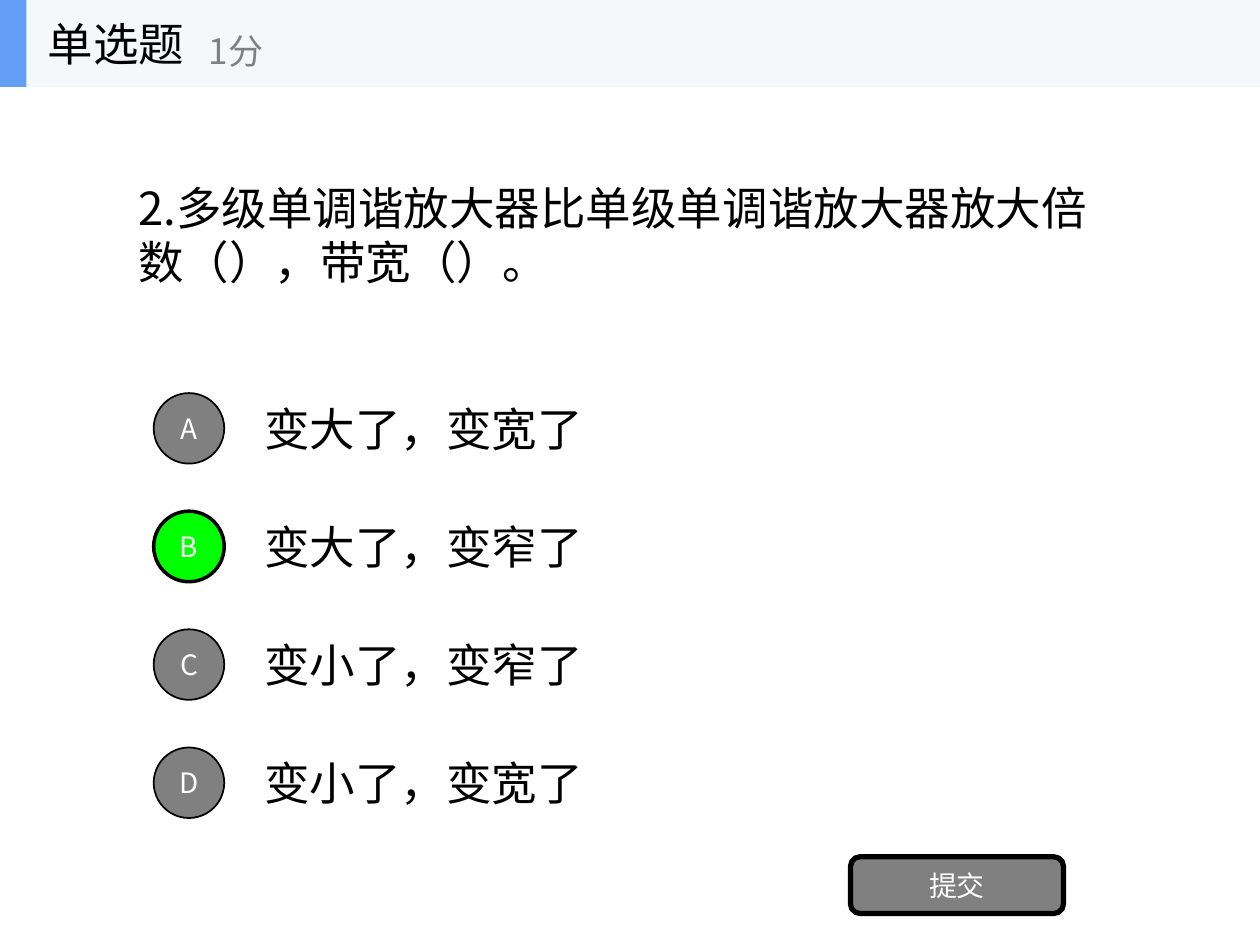
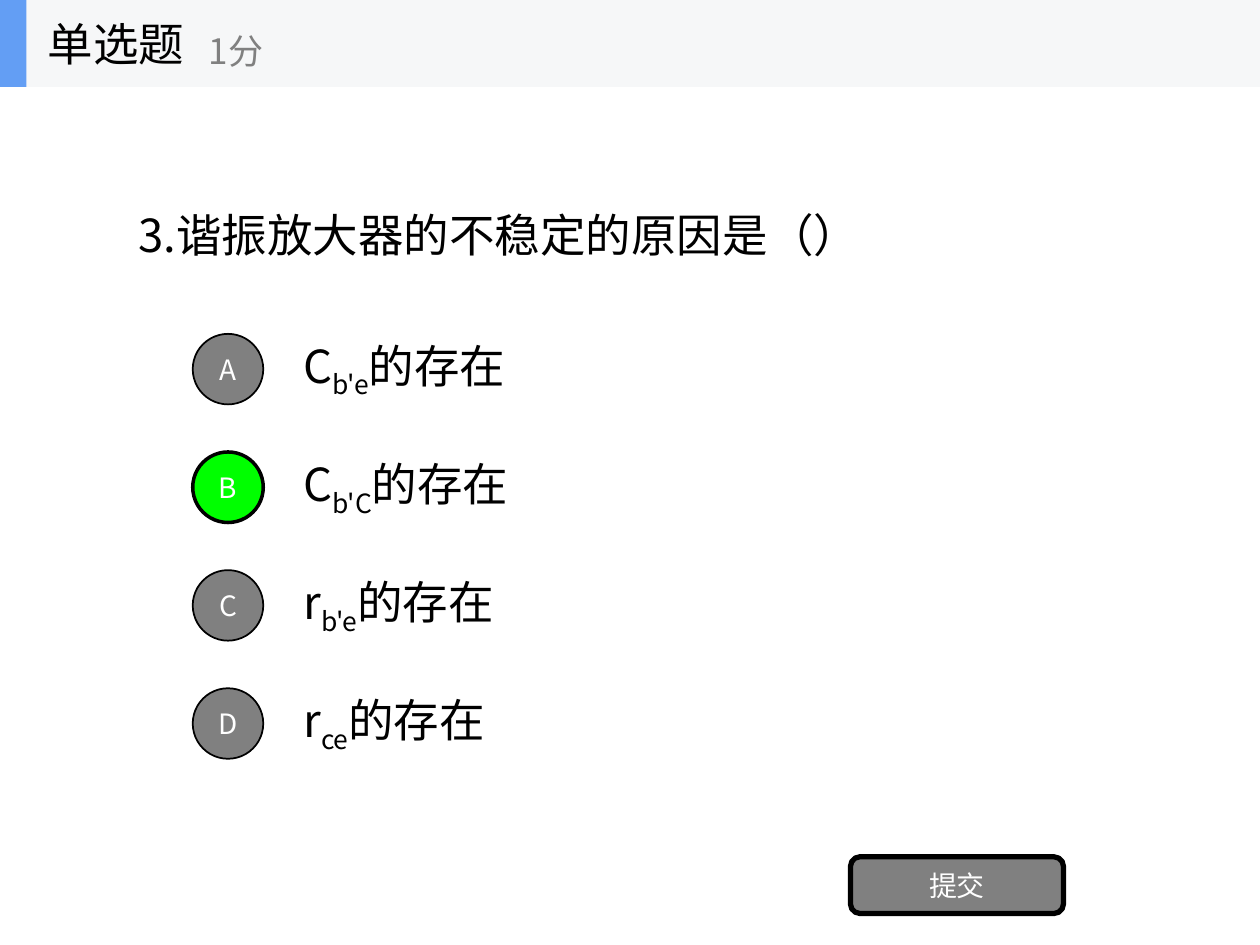
from pptx import Presentation
from pptx.dml.color import RGBColor
from pptx.enum.shapes import MSO_SHAPE
from pptx.enum.text import MSO_ANCHOR, PP_ALIGN
from pptx.oxml.ns import qn
from pptx.util import Inches, Pt
from lxml.etree import SubElement

COLORS = {"ink": "000000", "gray": "808080", "right": "00FF00",
          "white": "FFFFFF", "band": "F6F7F8", "accent": "639EF4"}
FONT = "Noto Sans CJK SC"
WIDE, HIGH = Inches(10), Inches(7.5)
UNIT = WIDE / 100           # square grid: 100 columns by 75 rows
STEP = 75 / 8               # rows from one choice to the next
BAND = 6.9                  # rows taken by the header
DOT, LINE = 5.6, 7          # heights of a choice's circle and text


def color(name):
    return RGBColor.from_string(COLORS[name])


def grid(*cells):
    return [round(cell * UNIT) for cell in cells]


def write(frame, text, size, ink):
    """Fill a frame; parts between underscores become subscripts."""
    frame.word_wrap = True
    frame.vertical_anchor = MSO_ANCHOR.MIDDLE
    para = frame.paragraphs[0]
    for index, part in enumerate(text.split("_")):
        run = para.add_run()
        run.text = part
        run.font.size = Pt(size)
        run.font.name = FONT
        run.font.color.rgb = color(ink)
        props = run.font._element
        SubElement(props, qn("a:ea")).set("typeface", FONT)
        if index % 2:
            props.set("baseline", "-25000")
    return para


def label(shapes, cells, text, size=26, ink="ink"):
    box = shapes.add_textbox(*grid(*cells))
    write(box.text_frame, text, size, ink)


def block(shapes, kind, cells, fill, line=0):
    shape = shapes.add_shape(kind, *grid(*cells))
    shape.shadow.inherit = False
    shape.fill.solid()
    shape.fill.fore_color.rgb = color(fill)
    if line:
        shape.line.color.rgb = color("ink")
        shape.line.width = Pt(line)
    else:
        shape.line.fill.background()
    return shape


def button(shapes, kind, cells, text, fill, line):
    shape = block(shapes, kind, cells, fill, line)
    frame = shape.text_frame
    frame.margin_left = frame.margin_right = 0
    frame.margin_top = frame.margin_bottom = 0
    write(frame, text, 16, "white").alignment = PP_ALIGN.CENTER


def header(slide):
    group = slide.shapes.add_group_shape().shapes
    block(group, MSO_SHAPE.RECTANGLE, (0, 0, 100, BAND), "band")
    block(group, MSO_SHAPE.RECTANGLE, (0, 0, 2.1, BAND), "accent")
    label(group, (2.8, 0, 20.8, BAND), "单选题")
    label(group, (15.6, 1.2, 25, 5.6), "1分", 20, "gray")


def choices(slide, left, first, texts, right):
    """Stack lettered choices, the first centred on row `first`."""
    rows = [first + STEP * n for n in range(len(texts))]
    for row, text in zip(rows, texts):
        label(slide.shapes, (left + 7.8, row - LINE / 2, 70, LINE), text)
    for row, letter in zip(rows, "ABCD"):
        hit = letter == right
        button(slide.shapes, MSO_SHAPE.OVAL,
               (left, row - DOT / 2, DOT, DOT), letter,
               "right" if hit else "gray", 2 if hit else 1)


def quiz(deck, ask, left, first, texts, right):
    slide = deck.slides.add_slide(deck.slide_layouts[6])
    label(slide.shapes, (10, BAND, 80, 23.4), ask)
    choices(slide, left, first, texts, right)
    button(slide.shapes, MSO_SHAPE.ROUNDED_RECTANGLE,
           (67.5, 68, 16.9, 4.5), "提交", "gray", 3)
    header(slide)


def main():
    deck = Presentation()
    deck.slide_width, deck.slide_height = WIDE, HIGH
    quiz(deck, "2.多级单调谐放大器比单级单调谐放大器放大倍数（），带宽（）。",
         12.2, 34,
         ["变大了，变宽了", "变大了，变窄了", "变小了，变窄了", "变小了，变宽了"], "B")
    quiz(deck, "3.谐振放大器的不稳定的原因是（）", 15.3, 29.3,
         [f"{name}的存在" for name in ("C_b'e_", "C_b'C_", "r_b'e_", "r_ce_")],
         "B")
    deck.save("out.pptx")


if __name__ == "__main__":
    main()
